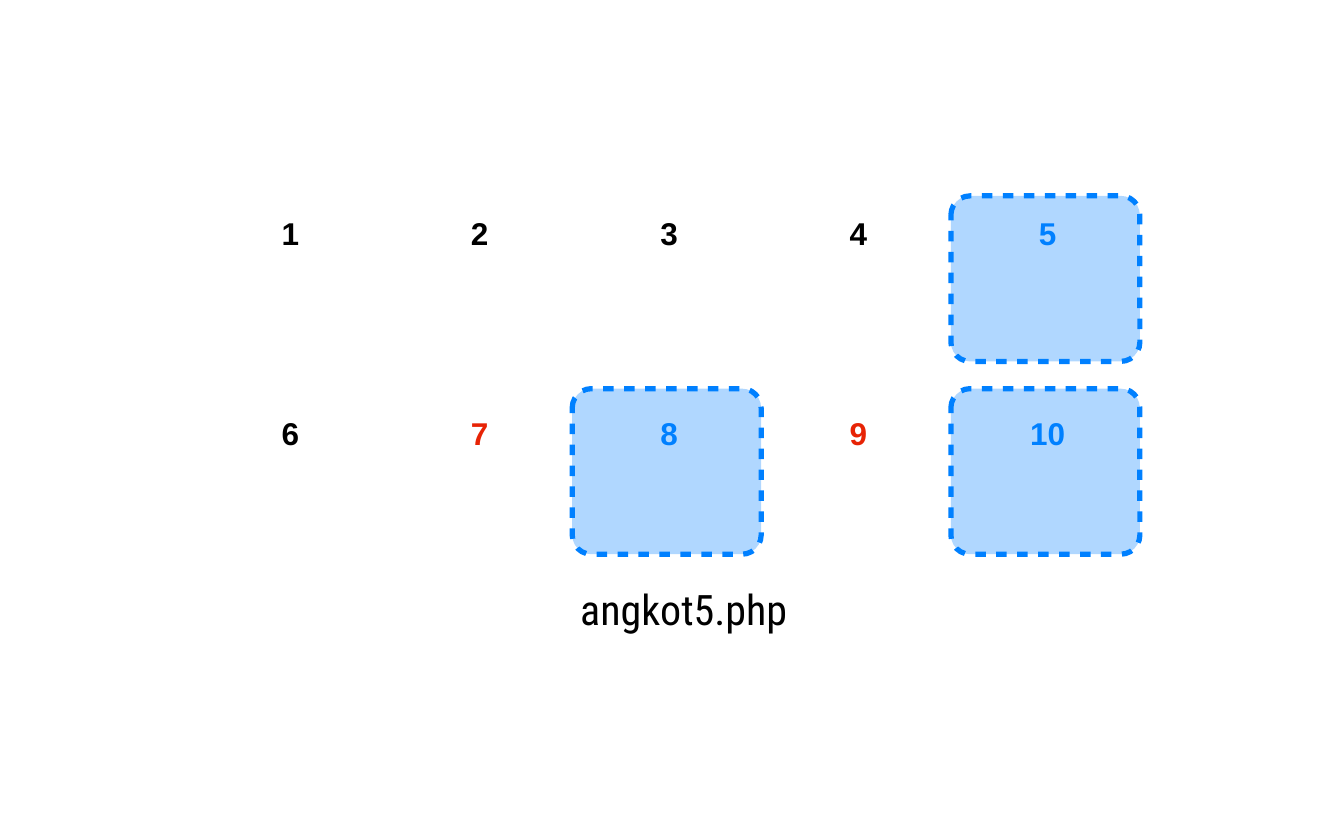
from dataclasses import dataclass

import lxml.etree
import pptx
import pptx.dml.color
import pptx.enum.shapes
import pptx.enum.text
import pptx.oxml.ns
import pptx.util

Inches = pptx.util.Inches
BLACK, BLUE, RED = "000000", "0080FF", "E72305"
STEP = 2.505
FRAME = {
    "margin_left": Inches(0.06),
    "margin_right": Inches(0.06),
    "margin_top": Inches(0.06),
    "margin_bottom": Inches(0.06),
    "word_wrap": False,
    "vertical_anchor": pptx.enum.text.MSO_ANCHOR.MIDDLE,
}


@dataclass
class Label:
    text: str
    left: float
    top: float
    width: float
    height: float
    color: str
    font: dict


@dataclass
class Seat:
    number: int
    color: str = BLACK

    @property
    def row(self) -> int:
        return (self.number - 1) // 5

    @property
    def col(self) -> int:
        return (self.number - 1) % 5


COLORS = {5: BLUE, 7: RED, 8: BLUE, 9: RED, 10: BLUE}
SEATS = [Seat(n, COLORS.get(n, BLACK)) for n in range(1, 11)]
DIGIT = {"name": "Arial", "size": pptx.util.Pt(30), "bold": True}
TITLE = {"name": "Roboto Condensed", "size": pptx.util.Pt(40), "bold": False}


def rgb(code: str) -> pptx.dml.color.RGBColor:
    return pptx.dml.color.RGBColor.from_string(code)


def apply(target: object, values: dict) -> None:
    for name, value in values.items():
        setattr(target, name, value)


def child(parent, tag: str, **attrs: str):
    """Append a drawing element to parent."""
    return lxml.etree.SubElement(parent, pptx.oxml.ns.qn(tag), attrs)


def add_tile(slide, seat: Seat) -> None:
    """Draw the dashed, see-through tile behind a seat."""
    tile = slide.shapes.add_shape(
        pptx.enum.shapes.MSO_SHAPE.ROUNDED_RECTANGLE,
        Inches(2.56 + STEP * seat.col), Inches(2.59 + 2.55 * seat.row),
        Inches(2.5), Inches(2.19))
    tile.adjustments[0] = 0.116
    tile.shadow.inherit = False
    tile.fill.solid()
    tile.fill.fore_color.rgb = rgb(BLUE)
    tint = tile.fill._xPr.find(".//" + pptx.oxml.ns.qn("a:srgbClr"))
    child(tint, "a:alpha", val="31000")
    tile.line.color.rgb = rgb(BLUE)
    tile.line.width = pptx.util.Pt(5)
    edge = tile.line._get_or_add_ln()
    child(child(edge, "a:custDash"), "a:ds", d="200000", sp="200000")


def add_label(slide, label: Label) -> None:
    box = slide.shapes.add_textbox(
        Inches(label.left), Inches(label.top),
        Inches(label.width), Inches(label.height))
    apply(box.text_frame, FRAME)
    line = box.text_frame.paragraphs[0]
    line.alignment = pptx.enum.text.PP_ALIGN.CENTER
    run = line.add_run()
    run.text = label.text
    apply(run.font, label.font)
    run.font.color.rgb = rgb(label.color)


def seat_label(seat: Seat) -> Label:
    text = str(seat.number)
    width = 0.35 if len(text) == 1 else 0.62
    left = 3.84 + STEP * seat.col - width / 2
    return Label(text, left, 2.78 + 2.64 * seat.row, width, 0.61,
                 seat.color, DIGIT)


def main() -> None:
    deck = pptx.Presentation()
    deck.slide_width, deck.slide_height = Inches(17.78), Inches(11.11)
    slide = deck.slides.add_slide(deck.slide_layouts[6])
    for seat in SEATS:
        if seat.color == BLUE:
            add_tile(slide, seat)
    for seat in SEATS:
        add_label(slide, seat_label(seat))
    add_label(slide, Label("angkot5.php", 7.28, 7.6, 3.53, 0.91, BLACK, TITLE))
    deck.save("out.pptx")


if __name__ == "__main__":
    main()
